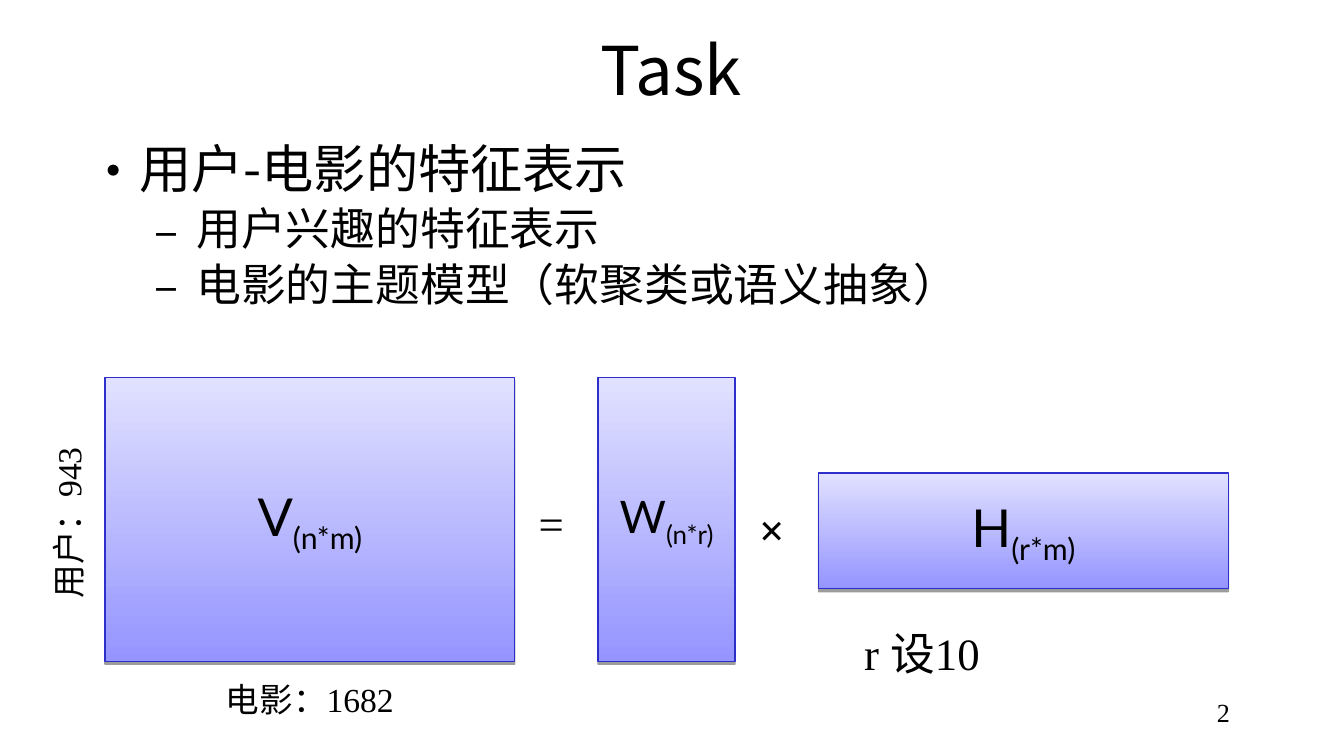
from lxml.etree import SubElement
from pptx import Presentation
from pptx.dml.color import RGBColor
from pptx.enum.shapes import MSO_SHAPE
from pptx.enum.text import MSO_ANCHOR, MSO_AUTO_SIZE, PP_ALIGN
from pptx.oxml.ns import qn
from pptx.util import Pt

COLORS = {"text": "000000", "dark": "9595FF", "light": "E1E1FF",
          "border": "2E2ECB", "shadow": "000000"}
SANS, SERIF, MATRIX = "Noto Sans CJK SC", "Times New Roman", "Lato"

TITLE = "Task"
BULLETS = [
    ("用户-电影的特征表示", 0),
    ("用户兴趣的特征表示", 1),
    ("电影的主题模型（软聚类或语义抽象）", 1),
]
LEVELS = [
    {"size": 28, "indent": 27, "hang": 27, "mark": "•"},
    {"size": 24, "indent": 58.5, "hang": 22.5, "mark": "–"},
]
WIDE, NARROW, TALL, SHORT = 219.6, 73.4, 152, 62
MATRICES = [
    ("V", "(n*m)", 28, (56.2, 202.3, WIDE, TALL)),
    ("W", "(n*r)", 24, (320.4, 202.3, NARROW, TALL)),
    ("H", "(r*m)", 28, (438.5, 253.4, WIDE, SHORT)),
]
LABELS = [
    ("=", 24, False, PP_ALIGN.LEFT, 0, (281.5, 262.1, 39.6, 36)),
    ("×", 24, True, PP_ALIGN.LEFT, 0, (399.6, 265, 39.6, 36)),
    ("r 设10", 24, False, PP_ALIGN.LEFT, 0, (455.8, 331.9, 196.6, 36)),
    ("用户：943", 18, False, PP_ALIGN.CENTER, 270, (-30.2, 265.7, 133.2, 28.8)),
    ("电影：1682", 18, False, PP_ALIGN.CENTER, 0, (67.7, 360, 196.6, 28.8)),
    ("2", 14, False, PP_ALIGN.RIGHT, 0, (516.2, 369.4, 149.8, 26.6)),
]


def color(name):
    return RGBColor.from_string(COLORS[name])


def place(shape, frame):
    shape.left, shape.top, shape.width, shape.height = map(Pt, frame)


def add_span(para, text, size, font, bold=False, baseline=0):
    span = para.add_run()
    span.text = text
    span.font.size = Pt(size)
    span.font.bold = bold
    span.font.color.rgb = color("text")
    span.font.name = font
    props = span.font._element
    SubElement(props, qn("a:ea"), typeface=SANS)
    if baseline:
        props.set("baseline", str(baseline * 1000))


def add_box(page, frame):
    box = page.shapes.add_textbox(*map(Pt, frame))
    box.text_frame.word_wrap = True
    return box


def add_title(page):
    title = page.shapes.title
    place(title, (16.6, 11.5, 686.2, 50.4))
    title.text_frame.vertical_anchor = MSO_ANCHOR.MIDDLE
    title.text_frame.auto_size = MSO_AUTO_SIZE.NONE
    para = title.text_frame.paragraphs[0]
    para.alignment = PP_ALIGN.CENTER
    add_span(para, TITLE, 36, SANS)


def add_bullets(page):
    frame = add_box(page, (39.6, 72, 646.6, 124.6)).text_frame
    frame.margin_top = Pt(7.2)
    for index, (text, level) in enumerate(BULLETS):
        para = frame.add_paragraph() if index else frame.paragraphs[0]
        style = LEVELS[level]
        para.level = level
        para.line_spacing = 0.82
        para.space_before = Pt(6 if index else 0)
        props = para._p.get_or_add_pPr()
        props.set("marL", str(Pt(style["indent"])))
        props.set("indent", str(-Pt(style["hang"])))
        SubElement(SubElement(props, qn("a:buClr")), qn("a:srgbClr"), val=COLORS["text"])
        SubElement(props, qn("a:buFont"), typeface=SANS)
        SubElement(props, qn("a:buChar"), char=style["mark"])
        add_span(para, text, style["size"], SANS)


def add_matrix(page, name, dimensions, size, frame):
    matrix = page.shapes.add_shape(MSO_SHAPE.RECTANGLE, *map(Pt, frame))
    matrix.fill.gradient()
    matrix.fill.gradient_angle = 90
    for stop, name_of_color, position in zip(matrix.fill.gradient_stops, ("dark", "light"), (0, 1)):
        stop.color.rgb = color(name_of_color)
        stop.position = position
    matrix.line.color.rgb = color("border")
    matrix.line.width = Pt(0.75)
    matrix.shadow.inherit = False
    effects = matrix._element.spPr.find(qn("a:effectLst"))
    shadow = SubElement(effects, qn("a:outerShdw"), blurRad="0", dist=str(Pt(1.6)),
                        dir="5400000", rotWithShape="0")
    tint = SubElement(shadow, qn("a:srgbClr"), val=COLORS["shadow"])
    SubElement(tint, qn("a:alpha"), val="38000")
    matrix.text_frame.vertical_anchor = MSO_ANCHOR.MIDDLE
    para = matrix.text_frame.paragraphs[0]
    para.alignment = PP_ALIGN.CENTER
    add_span(para, name, size, MATRIX)
    add_span(para, dimensions, size, MATRIX, baseline=-25)


def add_label(page, text, size, bold, alignment, rotation, frame):
    box = add_box(page, frame)
    box.rotation = rotation
    para = box.text_frame.paragraphs[0]
    para.alignment = alignment
    add_span(para, text, size, SERIF, bold)


def main():
    deck = Presentation()
    deck.slide_width, deck.slide_height = Pt(720), Pt(405)
    page = deck.slides.add_slide(deck.slide_layouts[5])
    add_title(page)
    add_bullets(page)
    for matrix in MATRICES:
        add_matrix(page, *matrix)
    for label in LABELS:
        add_label(page, *label)
    deck.save("out.pptx")


if __name__ == "__main__":
    main()
